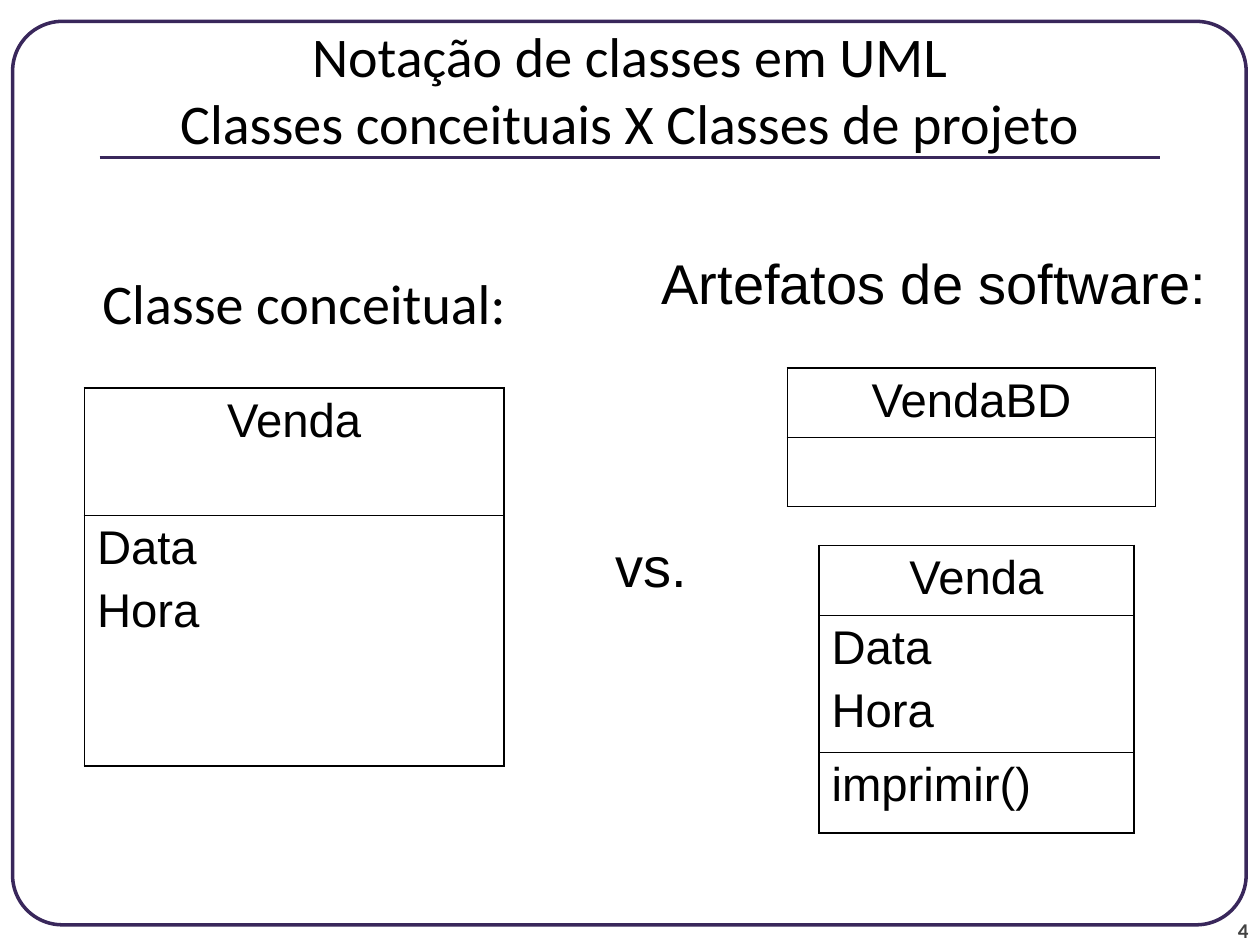
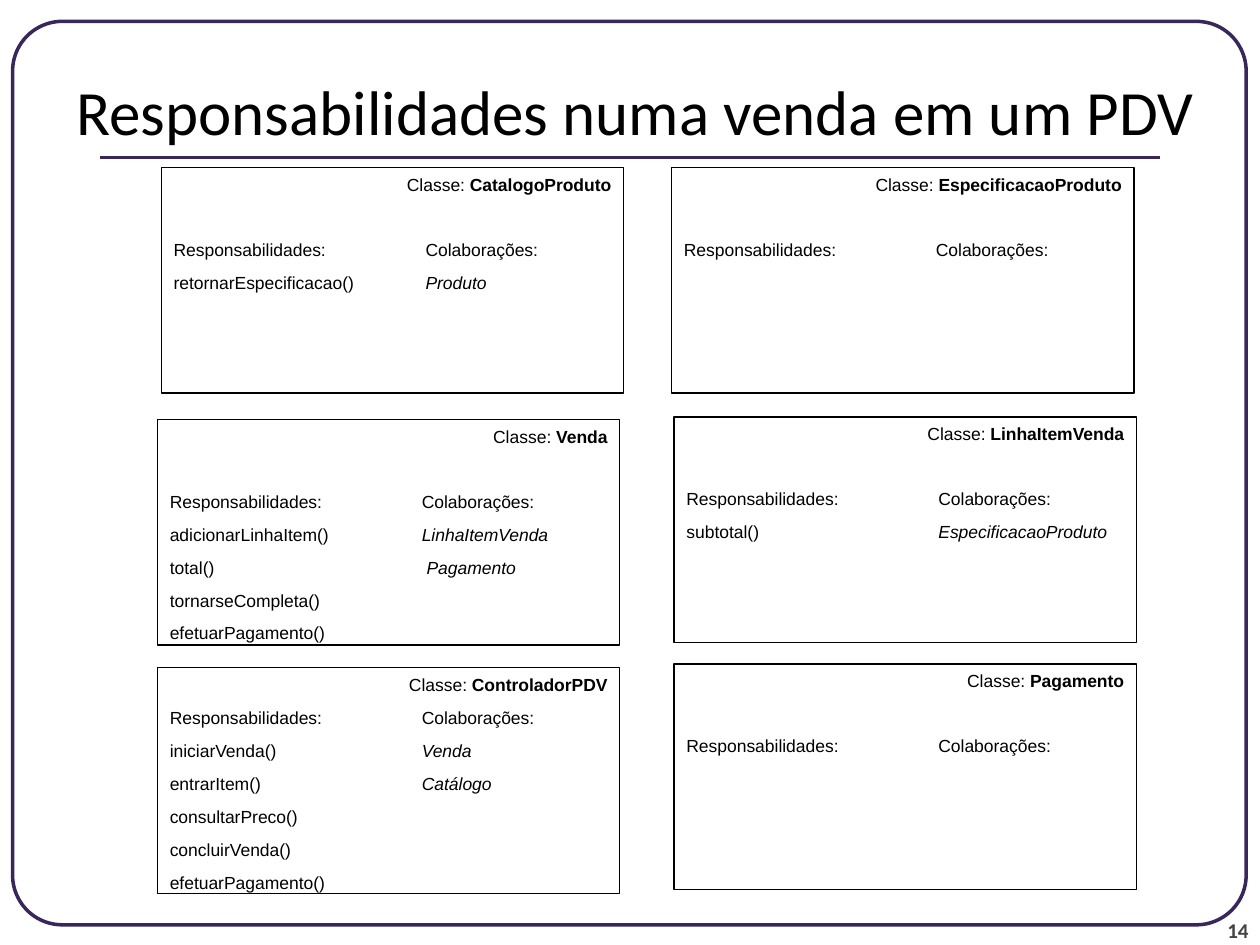
import dataclasses

import lxml.etree
import pptx
import pptx.dml.color
import pptx.enum.shapes
import pptx.enum.text
import pptx.oxml.ns
import pptx.util

Inches = pptx.util.Inches
Pt = pptx.util.Pt
Align = pptx.enum.text.PP_ALIGN
Anchor = pptx.enum.text.MSO_ANCHOR
qn = pptx.oxml.ns.qn


@dataclasses.dataclass(frozen=True)
class Theme:
    paper: str = "FFFFFF"
    ink: str = "000000"
    accent: str = "39275B"
    muted: str = "424242"
    heading_font: str = "Calibri"
    body_font: str = "Arial"
    title_size: int = 36
    label_size: int = 32
    class_size: int = 27
    number_size: int = 12
    card_size: int = 10
    class_spacing: float = 6
    card_spacing: float = 6.8
    card_gap: float = 25.1
    frame_line: float = 2
    rule_line: float = 2.25
    card_line: float = 0.75
    outer_border: float = 1.08
    inner_border: float = 0.45


THEME = Theme()
CARD_WIDTH, CARD_HEIGHT = 3.67, 1.79
COLLABORATION_TAB = 2

# Each card: left, top, class name, responsibilities, collaborations
CARDS = [
    (1.28, 1.33, "CatalogoProduto", ["retornarEspecificacao()"], ["Produto"]),
    (5.33, 1.33, "EspecificacaoProduto", [], []),
    (5.35, 3.31, "LinhaItemVenda", ["subtotal()"], ["EspecificacaoProduto"]),
    (5.35, 5.27, "Pagamento", [], []),
    (1.25, 5.3, "ControladorPDV",
     ["iniciarVenda()", "entrarItem()", "consultarPreco()", "concluirVenda()", "efetuarPagamento()"],
     ["Venda", "Catálogo"]),
    (1.25, 3.33, "Venda",
     ["adicionarLinhaItem()", "total()", "tornarseCompleta()", "efetuarPagamento()"],
     ["LinhaItemVenda", " Pagamento"]),
]


def rgb(color):
    return pptx.dml.color.RGBColor.from_string(color)


def style_run(run, size, font=THEME.body_font, color=THEME.ink, bold=False, italic=False):
    run.font.name = font
    run.font.size = Pt(size)
    run.font.color.rgb = rgb(color)
    run.font.bold = bold
    run.font.italic = italic


def style_frame(frame, anchor=Anchor.TOP, side=0.1, edge=0.05):
    frame.word_wrap = True
    frame.vertical_anchor = anchor
    frame.margin_left = frame.margin_right = Inches(side)
    frame.margin_top = frame.margin_bottom = Inches(edge)


def add_label(slide, text, box, size, font=THEME.body_font, color=THEME.ink,
              align=Align.CENTER, bold=False, **frame_style):
    frame = slide.shapes.add_textbox(*map(Inches, box)).text_frame
    style_frame(frame, **frame_style)
    frame.text = text
    for paragraph in frame.paragraphs:
        paragraph.alignment = align
        for run in paragraph.runs:
            style_run(run, size, font, color, bold)


def add_title(slide, text, box, size):
    add_label(slide, text, box, size, THEME.heading_font, anchor=Anchor.MIDDLE, side=0.05)


# Frame, page number and title rule shared by the slides
def add_base(deck, number):
    slide = deck.slides.add_slide(deck.slide_layouts[6])
    slide.background.fill.solid()
    slide.background.fill.fore_color.rgb = rgb(THEME.paper)

    border = slide.shapes.add_shape(pptx.enum.shapes.MSO_SHAPE.ROUNDED_RECTANGLE,
                                    Inches(0.1), Inches(0.17), Inches(9.79), Inches(7.17))
    border.adjustments[0] = 0.055
    border.shadow.inherit = False
    border.fill.solid()
    border.fill.fore_color.rgb = rgb(THEME.paper)
    border.line.color.rgb = rgb(THEME.accent)
    border.line.width = Pt(THEME.frame_line)

    add_label(slide, number, (9.08, 7.08, 0.83, 0.4), THEME.number_size, THEME.heading_font,
              THEME.muted, Align.RIGHT, bold=True, anchor=Anchor.BOTTOM, side=0, edge=0)

    rule = slide.shapes.add_connector(pptx.enum.shapes.MSO_CONNECTOR.STRAIGHT,
                                      Inches(0.79), Inches(1.25), Inches(9.21), Inches(1.25))
    rule.line.color.rgb = rgb(THEME.accent)
    rule.line.width = Pt(THEME.rule_line)
    lxml.etree.SubElement(rule._element.spPr, qn("a:effectLst"))
    return slide


def set_borders(cell, top, bottom):
    widths = {"a:lnL": THEME.outer_border, "a:lnR": THEME.outer_border, "a:lnT": top, "a:lnB": bottom}
    properties = cell._tc.get_or_add_tcPr()
    for index, (side, width) in enumerate(widths.items()):
        line = lxml.etree.Element(qn(side), w=str(Pt(width)))
        fill = lxml.etree.SubElement(line, qn("a:solidFill"))
        lxml.etree.SubElement(fill, qn("a:srgbClr"), val=THEME.ink)
        properties.insert(index, line)


# UML class: one table row per compartment, name first
def add_uml_class(slide, left, top, width, compartments):
    heights = [height for height, _ in compartments]
    table = slide.shapes.add_table(len(compartments), 1, Inches(left), Inches(top),
                                   Inches(width), Inches(sum(heights))).table
    table.first_row = table.horz_banding = False
    last = len(compartments) - 1
    for index, (height, text) in enumerate(compartments):
        table.rows[index].height = Inches(height)
        cell = table.cell(index, 0)
        cell.fill.background()
        cell.text = text
        for paragraph in cell.text_frame.paragraphs:
            paragraph.alignment = Align.CENTER if index == 0 else Align.LEFT
            paragraph.space_before = Pt(THEME.class_spacing)
            for run in paragraph.runs:
                style_run(run, THEME.class_size)
        set_borders(cell,
                    top=THEME.outer_border if index == 0 else THEME.inner_border,
                    bottom=THEME.outer_border if index == last else THEME.inner_border)


def add_card_row(paragraph, responsibility, collaboration, italic=True, space=THEME.card_spacing):
    paragraph.alignment = Align.LEFT
    paragraph.space_before = Pt(space)
    stops = lxml.etree.SubElement(paragraph._p.get_or_add_pPr(), qn("a:tabLst"))
    lxml.etree.SubElement(stops, qn("a:tab"), pos=str(Inches(COLLABORATION_TAB)), algn="l")
    paragraph.text = responsibility + ("\t" if collaboration else "")
    style_run(paragraph.runs[0], THEME.card_size)
    if collaboration:
        partner = paragraph.add_run()
        partner.text = collaboration
        style_run(partner, THEME.card_size, italic=italic)


# CRC card: class name, then responsibilities beside collaborations
def add_crc_card(slide, left, top, name, responsibilities, collaborations):
    card = slide.shapes.add_shape(pptx.enum.shapes.MSO_SHAPE.RECTANGLE, Inches(left), Inches(top),
                                  Inches(CARD_WIDTH), Inches(CARD_HEIGHT))
    card.shadow.inherit = False
    card.fill.background()
    card.line.color.rgb = rgb(THEME.ink)
    card.line.width = Pt(THEME.card_line)
    frame = card.text_frame
    style_frame(frame)

    heading = frame.paragraphs[0]
    heading.alignment = Align.RIGHT
    heading.text = "Classe: "
    style_run(heading.runs[0], THEME.card_size)
    class_name = heading.add_run()
    class_name.text = name
    style_run(class_name, THEME.card_size, bold=True)

    is_full = len(responsibilities) > 4
    add_card_row(frame.add_paragraph(), "Responsabilidades:", "Colaborações:", italic=False,
                 space=THEME.card_spacing if is_full else THEME.card_gap)
    for index, responsibility in enumerate(responsibilities):
        partner = collaborations[index] if index < len(collaborations) else ""
        add_card_row(frame.add_paragraph(), responsibility, partner)


def build_notation(deck):
    slide = add_base(deck, "4")
    add_title(slide, "Notação de classes em UML\nClasses conceituais X Classes de projeto",
              (0.5, 0.08, 9, 1.25), THEME.label_size)
    add_uml_class(slide, 0.67, 3.08, 3.33, [(1.01, "Venda"), (1.99, "Data\nHora")])
    add_uml_class(slide, 6.25, 2.92, 2.92, [(0.55, "VendaBD"), (0.55, "")])
    add_uml_class(slide, 6.5, 4.33, 2.5,
                  [(0.55, "Venda"), (1.09, "Data\nHora"), (0.64, "imprimir()")])
    add_label(slide, "Classe conceitual:", (0.33, 2.08, 4.17, 0.83), THEME.label_size,
              THEME.heading_font)
    add_label(slide, "Artefatos de software:", (5, 1.92, 4.83, 0.83), THEME.label_size)
    add_label(slide, "vs.", (4.17, 4.17, 2, 0.83), THEME.label_size)


def build_responsibilities(deck):
    slide = add_base(deck, "14")
    add_title(slide, "Responsabilidades numa venda em um PDV", (0.5, 0.25, 9.08, 1.25),
              THEME.title_size)
    for card in CARDS:
        add_crc_card(slide, *card)


def main():
    deck = pptx.Presentation()
    deck.slide_width, deck.slide_height = Inches(10), Inches(7.5)
    build_notation(deck)
    build_responsibilities(deck)
    deck.save("out.pptx")


if __name__ == "__main__":
    main()
